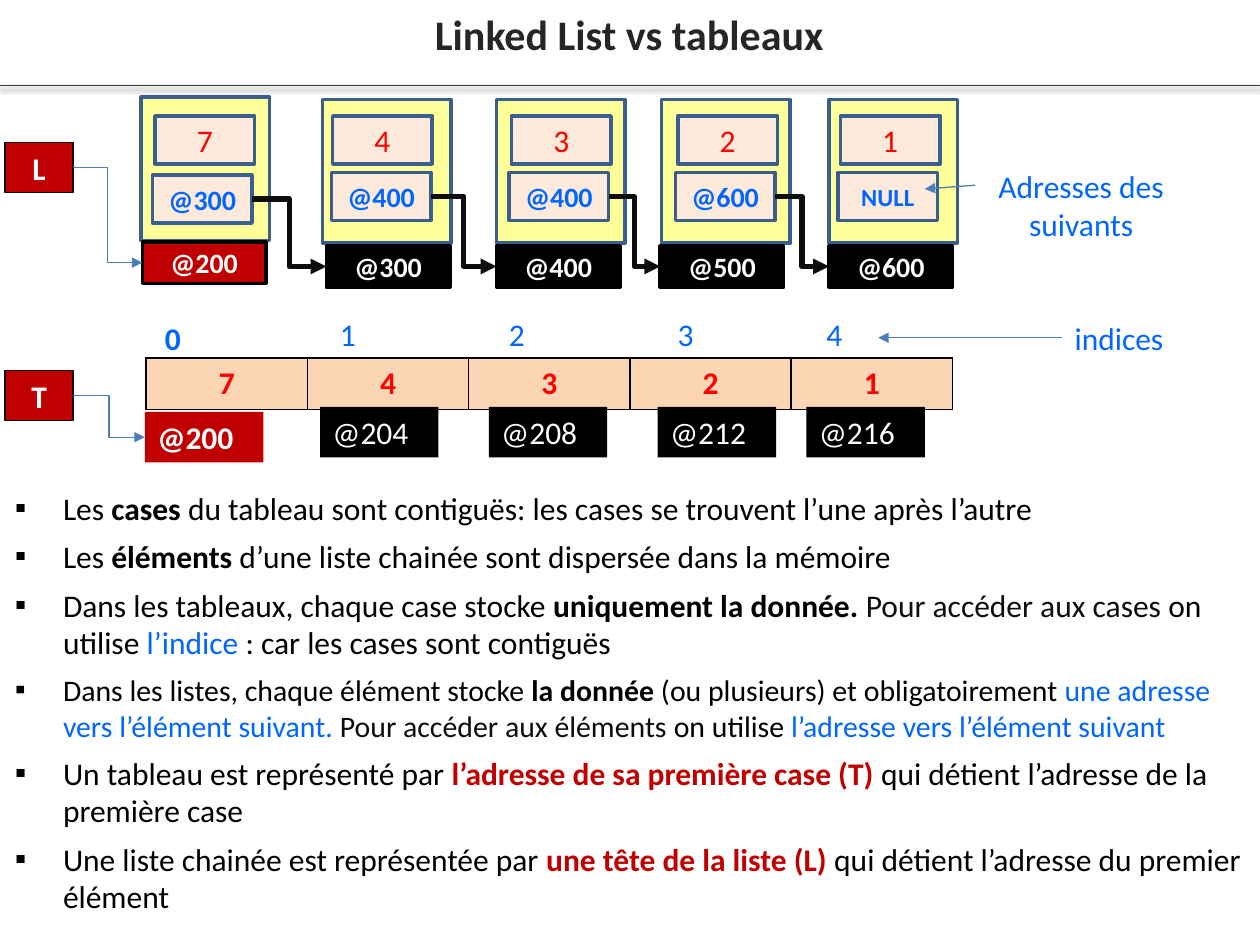
from lxml import etree
from pptx import Presentation
from pptx.dml.color import RGBColor
from pptx.enum.shapes import MSO_CONNECTOR, MSO_SHAPE
from pptx.enum.text import MSO_ANCHOR, MSO_AUTO_SIZE, PP_ALIGN
from pptx.oxml.ns import qn
from pptx.util import Inches, Pt

RECTANGLE = MSO_SHAPE.RECTANGLE
STRAIGHT, ELBOW = MSO_CONNECTOR.STRAIGHT, MSO_CONNECTOR.ELBOW
LEFT, CENTER = PP_ALIGN.LEFT, PP_ALIGN.CENTER
TOP, MIDDLE = MSO_ANCHOR.TOP, MSO_ANCHOR.MIDDLE
NO_AUTOFIT = MSO_AUTO_SIZE.NONE

FONT = "Calibri"
BLACK, WHITE, INK = "000000", "FFFFFF", "0D0D0D"
RED, CRIMSON, BLUE = "FF0000", "C00000", "0066FF"
STEEL, ARROW_BLUE = "3A5F8C", "4B7EBC"
YELLOW, CREAM, PEACH = "FFFF99", "FDEADA", "FCD5B5"

NODES = [
    ("7", "@300", "@200", (1.12, 0.77), (1.23, 0.92), (1.21, 1.39), (1.13, 1.92)),
    ("4", "@400", "@300", (2.56, 0.79), (2.64, 0.92), (2.63, 1.37), (2.59, 1.95)),
    ("3", "@400", "@400", (3.94, 0.79), (4.06, 0.92), (4.04, 1.37), (3.94, 1.95)),
    ("2", "@600", "@500", (5.25, 0.79), (5.38, 0.92), (5.36, 1.37), (5.24, 1.95)),
    ("1", "NULL", "@600", (6.58, 0.79), (6.67, 0.92), (6.65, 1.37), (6.58, 1.95)),
]
ARRAY_LEFTS = [1.15, 2.54, 3.88, 5.22, 6.4]
BULLETS = [
    (18, [("Les ", BLACK, False), ("cases", BLACK, True),
          (" du tableau sont contiguës: les cases se trouvent l’une après l’autre", BLACK, False)]),
    (18, [("Les ", BLACK, False), ("éléments", BLACK, True),
          (" d’une liste chainée sont dispersée dans la mémoire", BLACK, False)]),
    (18, [("Dans les tableaux, chaque case stocke ", BLACK, False),
          ("uniquement la donnée. ", BLACK, True), ("Pour accéder aux cases", INK, False),
          (" on utilise ", BLACK, False), ("l’indice ", BLUE, False),
          (": car les cases sont contiguës", BLACK, False)]),
    (17, [("Dans les listes, chaque élément stocke ", BLACK, False), ("la donnée", BLACK, True),
          (" (ou plusieurs) et obligatoirement ", BLACK, False),
          ("une adresse vers l’élément suivant. ", BLUE, False),
          ("Pour accéder aux éléments", INK, False), (" on utilise ", BLACK, False),
          ("l’adresse vers l’élément suivant", BLUE, False)]),
    (18, [("Un tableau est représenté par ", BLACK, False),
          ("l’adresse de sa première case (T) ", CRIMSON, True),
          ("qui détient l’adresse de la première case", BLACK, False)]),
    (18, [("Une liste chainée est représentée par ", BLACK, False),
          ("une tête de la liste (L) ", CRIMSON, True),
          ("qui détient l’adresse du premier élément", BLACK, False)]),
]


def rgb(color):
    """Turn a hex string into a colour."""
    return RGBColor.from_string(color)


def place(shape, box):
    """Move a shape to a box given in inches."""
    shape.left, shape.top, shape.width, shape.height = map(Inches, box)


def add_run(paragraph, text, size, color, bold=False):
    """Append one formatted run to a paragraph."""
    run = paragraph.add_run()
    run.text = text
    run.font.name, run.font.size, run.font.bold = FONT, Pt(size), bold
    run.font.color.rgb = rgb(color)


def write(shape, text, size, color, bold=False, align=CENTER, anchor=MIDDLE):
    """Write a single paragraph into a shape."""
    frame = shape.text_frame
    frame.word_wrap, frame.vertical_anchor = True, anchor
    paragraph = frame.paragraphs[0]
    paragraph.alignment = align
    add_run(paragraph, text, size, color, bold)


def add_label(slide, box, text, **style):
    """Add a blue text box."""
    label = slide.shapes.add_textbox(*map(Inches, box))
    write(label, text, 18, BLUE, anchor=TOP, **style)
    return label


def add_box(slide, box, fill, line=None, line_width=2):
    """Add a filled rectangle, outlined when a line colour is given."""
    shape = slide.shapes.add_shape(RECTANGLE, *map(Inches, box))
    shape.shadow.inherit = False
    shape.fill.solid()
    shape.fill.fore_color.rgb = rgb(fill)
    if line:
        shape.line.color.rgb = rgb(line)
        shape.line.width = Pt(line_width)
    else:
        shape.line.fill.background()
    return shape


def add_line(slide, kind, points, color, width, arrow=True):
    """Add a connector without theme shadow and return it."""
    connector = slide.shapes.add_connector(kind, *map(Inches, points))
    connector.line.color.rgb = rgb(color)
    connector.line.width = Pt(width)
    if arrow:
        etree.SubElement(connector.line._get_or_add_ln(), qn("a:tailEnd"), type="triangle")
    etree.SubElement(connector._element.spPr, qn("a:effectLst"))
    return connector


def join(slide, source, target, color, width):
    """Lead an elbow arrow from the right of one box to the left of another."""
    connector = add_line(slide, ELBOW, (0, 0, 1, 1), color, width)
    connector.begin_connect(source, 3)
    connector.end_connect(target, 1)


def add_pointer(slide, box, name, target):
    """Add a named variable box that points to a first address."""
    pointer = add_box(slide, box, CRIMSON, INK, 0.75)
    write(pointer, name, 18, WHITE, True)
    join(slide, pointer, target, ARROW_BLUE, 0.75)


def add_header(slide, box):
    """Place the title and the shadowed rule under it."""
    title = slide.shapes.title
    place(title, box)
    title.text_frame.auto_size = NO_AUTOFIT
    write(title, "Linked List vs tableaux", 24, "262626", True)
    rule = add_line(slide, STRAIGHT, (0, 0.68, 10, 0.68), "404040", 0.5, arrow=False)
    effects = rule._element.spPr.find(qn("a:effectLst"))
    shadow = etree.SubElement(effects, qn("a:outerShdw"), blurRad=str(Pt(3.1)),
                              dist=str(Pt(1.6)), dir="5400000", rotWithShape="0")
    color = etree.SubElement(shadow, qn("a:srgbClr"), val=BLACK)
    etree.SubElement(color, qn("a:alpha"), val="38000")


def add_node(slide, node):
    """Draw one list node and return its link and address boxes."""
    value, link, address, card_at, value_at, link_at, address_at = node
    head = node is NODES[0]
    add_box(slide, (*card_at, 1.02, 1.14), YELLOW, STEEL)
    address_box = add_box(slide, (*address_at, 0.98, 0.33), CRIMSON if head else BLACK, BLACK)
    write(address_box, address, 16, WHITE, True)
    link_box = add_box(slide, (*link_at, 0.79, 0.38), CREAM, STEEL)
    write(link_box, link, 14 if link == "NULL" else 16, BLUE, True)
    write(add_box(slide, (*value_at, 0.79, 0.38), CREAM, STEEL), value, 18, RED)
    return link_box, address_box


def add_linked_list(slide):
    """Draw the chain of nodes with its head pointer and caption."""
    nodes = [add_node(slide, node) for node in NODES]
    for (link_box, _), (_, address_box) in zip(nodes, nodes[1:]):
        join(slide, link_box, address_box, INK, 3)
    add_pointer(slide, (0.04, 1.13, 0.54, 0.4), "L", nodes[0][1])
    add_label(slide, (7.74, 1.28, 1.68, 0.71), "Adresses des suivants")
    add_line(slide, STRAIGHT, (7.74, 1.47, 7.34, 1.5), ARROW_BLUE, 0.75)


def format_cell(cell, value):
    """Give a table cell its borders, fill and value."""
    properties = cell._tc.get_or_add_tcPr()
    for side in ("lnL", "lnR", "lnT", "lnB"):
        border = etree.SubElement(properties, qn(f"a:{side}"), w=str(Pt(1)))
        fill = etree.SubElement(border, qn("a:solidFill"))
        etree.SubElement(fill, qn("a:srgbClr"), val=BLACK)
    cell.fill.solid()
    cell.fill.fore_color.rgb = rgb(PEACH)
    paragraph = cell.text_frame.paragraphs[0]
    paragraph.alignment = CENTER
    add_run(paragraph, value, 18, RED, True)


def add_array(slide, box):
    """Draw the array with its indices, addresses and pointer."""
    table = slide.shapes.add_table(1, len(NODES), *map(Inches, box)).table
    addresses = []
    for index, (node, left) in enumerate(zip(NODES, ARRAY_LEFTS)):
        first = index == 0
        shift = 0.03 if first else 0
        format_cell(table.cell(0, index), node[0])
        address_top = 3.27 if first else 3.23
        address = add_box(slide, (left, address_top, 0.94, 0.4), CRIMSON if first else BLACK)
        write(address, f"@{200 + 4 * index}", 18, WHITE, first, LEFT)
        addresses.append(address)
        add_label(slide, (left + 0.06, 2.45 + shift, 0.94, 0.4), str(index),
                  bold=first, align=LEFT)
    add_pointer(slide, (0.04, 2.94, 0.54, 0.4), "T", addresses[0])
    caption = add_label(slide, (8.43, 2.48, 1.18, 0.4), "indices", align=LEFT)
    arrow = add_line(slide, STRAIGHT, (8.43, 2.68, 6.97, 2.68), ARROW_BLUE, 0.75)
    arrow.begin_connect(caption, 1)


def add_comparison(slide, box):
    """Fill the body placeholder with the bulleted comparison."""
    body = slide.placeholders[1]
    place(body, box)
    frame = body.text_frame
    frame.auto_size, frame.word_wrap = NO_AUTOFIT, True
    for index, (size, runs) in enumerate(BULLETS):
        paragraph = frame.add_paragraph() if index else frame.paragraphs[0]
        paragraph.space_before, paragraph.space_after = Pt(0), Pt(6)
        properties = paragraph._p.get_or_add_pPr()
        properties.set("marL", str(Inches(0.38)))
        properties.set("indent", str(Inches(-0.38)))
        etree.SubElement(properties, qn("a:buFont"), typeface=FONT)
        etree.SubElement(properties, qn("a:buChar"), char="▪")
        for text, color, bold in runs:
            add_run(paragraph, text, size, color, bold)


def main():
    """Build and save the presentation."""
    presentation = Presentation()
    presentation.slide_width, presentation.slide_height = Inches(10), Inches(7.5)
    slide = presentation.slides.add_slide(presentation.slide_layouts[1])
    add_header(slide, (0.01, 0.02, 9.97, 0.5))
    add_array(slide, (1.16, 2.84, 6.4, 0.41))
    add_linked_list(slide)
    add_comparison(slide, (0.02, 3.83, 9.96, 3.52))
    presentation.save("out.pptx")


if __name__ == "__main__":
    main()
